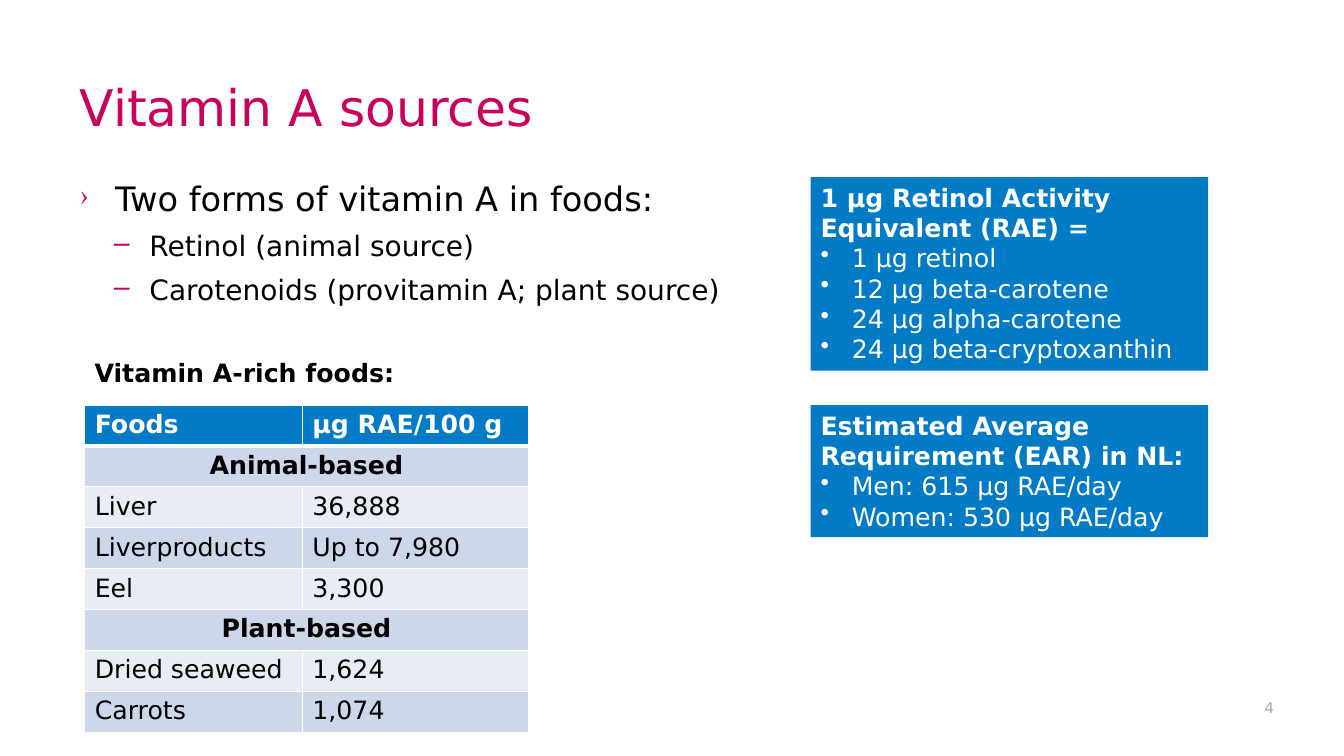
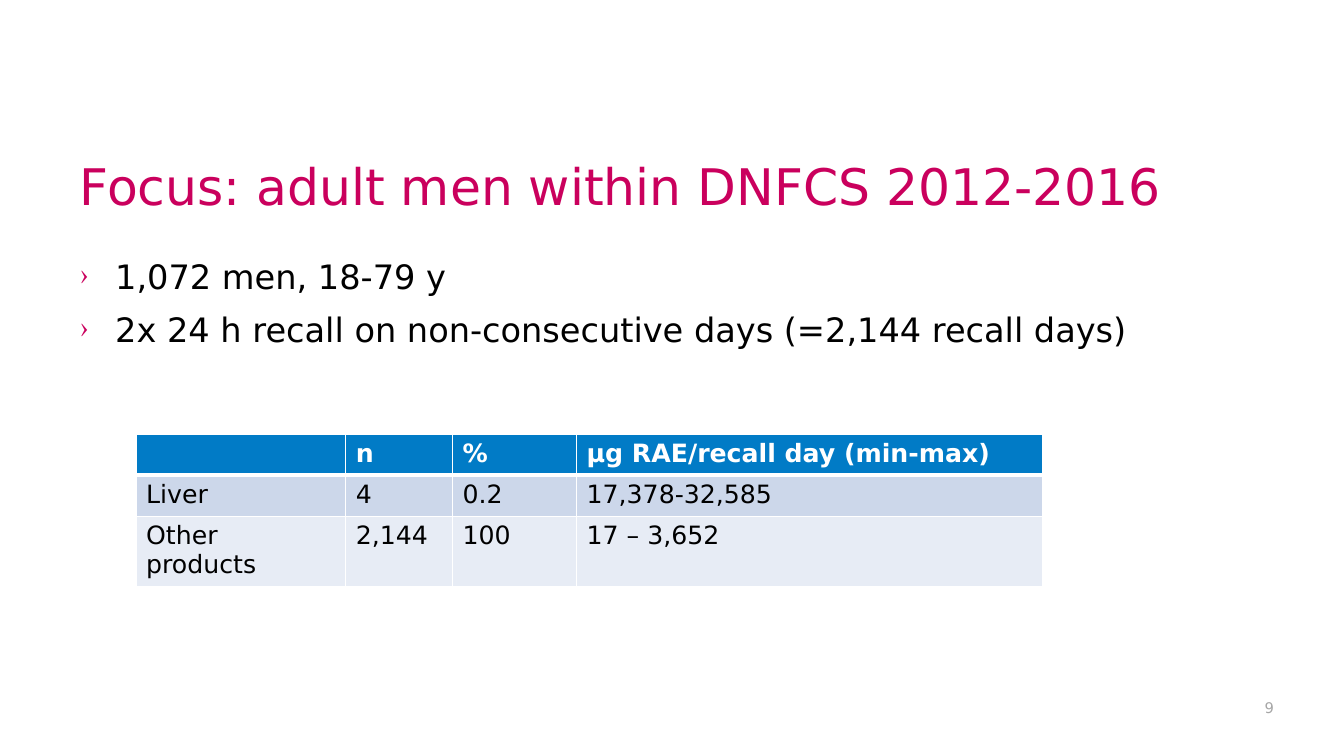
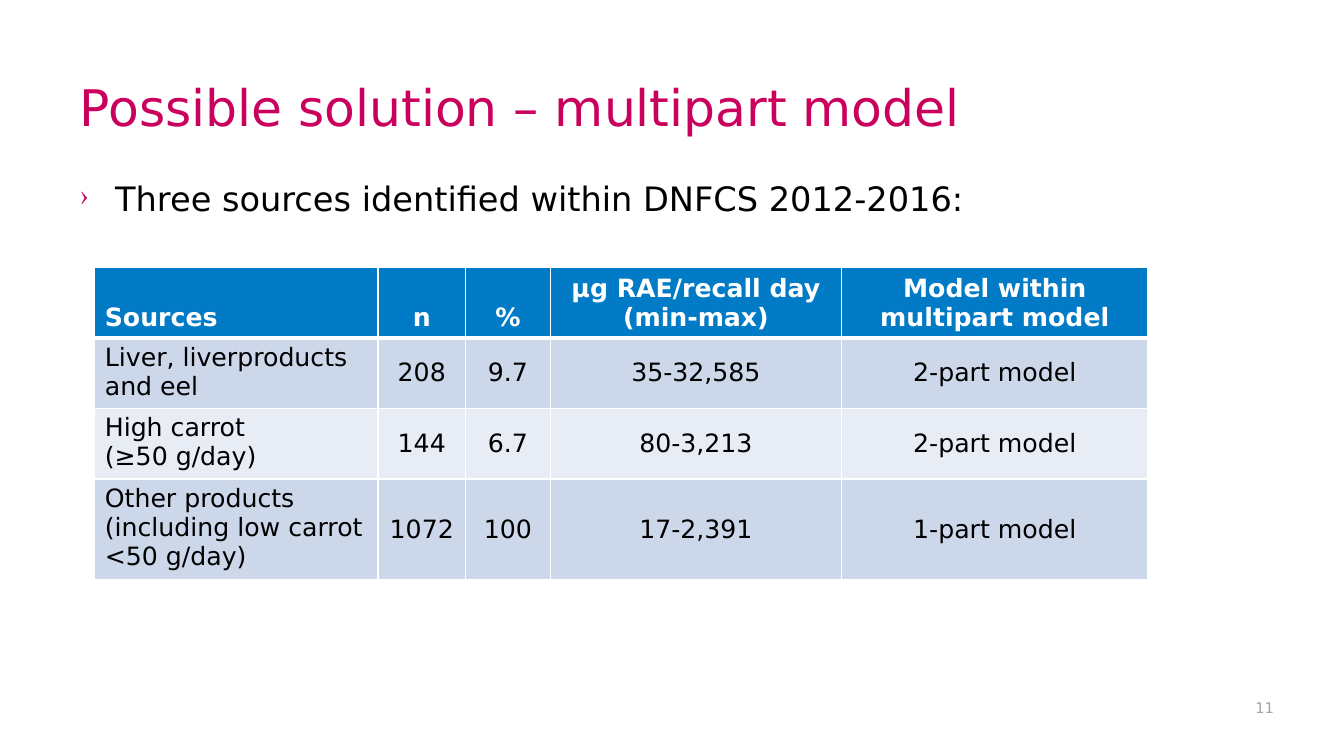
"""Build three slides on vitamin A sources, recall data and a multipart model."""
from lxml.etree import SubElement
from pptx import Presentation
from pptx.dml.color import RGBColor
from pptx.enum.shapes import MSO_SHAPE as Shape
from pptx.enum.text import MSO_ANCHOR as Anchor, MSO_AUTO_SIZE as AutoSize, PP_ALIGN as Align
from pptx.oxml.ns import qn
from pptx.util import Inches, Pt

COLORS = {
    "accent": "CA005D", "blue": "017BC6", "band": "CCD7EA", "light": "E7ECF5",
    "black": "000000", "white": "FFFFFF", "grey": "A6A6A6",
}
FONT = "DejaVu Sans"
COLUMNS, ROWS = 96, 54
MARGIN, CONTENT = 5, 86
BODY_DROP = 10
SIDE, SIDE_WIDTH = 57.9, 28.4
TABLE_LEFT, TABLE_TOP = 6.05, 28.94
LINE = 2.92

STYLES = {
    "title": {"size": 36, "color": "accent", "format": {"line_spacing": 0.9}},
    "bullet": {"size": 24, "color": "black", "format": {"line_spacing": 0.9, "space_before": Pt(12)},
               "mark": "›", "mark_color": "accent", "mark_size": 80, "indent": (0.35, 0.35)},
    "dash": {"size": 20, "color": "black", "format": {"line_spacing": 0.9, "space_before": Pt(10)},
             "mark": "–", "mark_color": "accent", "indent": (0.69, 0.35)},
    "number": {"size": 10.5, "color": "grey"},
    "heading": {"size": 18, "color": "white", "bold": True},
    "dot": {"size": 18, "color": "white", "mark": "•", "indent": (0.31, 0.31)},
    "strong": {"size": 18, "color": "black", "bold": True},
    "plain": {"size": 18, "color": "black"},
}

SLIDES = [
    {
        "number": "4", "title": "Vitamin A sources", "top": 2.66, "body_size": (49.25, 36.3),
        "body": [("bullet", "Two forms of vitamin A in foods:"),
                 ("dash", "Retinol (animal source)"),
                 ("dash", "Carotenoids (provitamin A; plant source)")],
        "caption": "Vitamin A-rich foods:",
        "callouts": [
            (12.66, 13.82, [("heading", "1 µg Retinol Activity Equivalent (RAE) ="),
                            ("dot", "1 µg retinol"),
                            ("dot", "12 µg beta-carotene"),
                            ("dot", "24 µg alpha-carotene"),
                            ("dot", "24 µg beta-cryptoxanthin")]),
            (TABLE_TOP, 9.43, [("heading", "Estimated Average Requirement (EAR) in NL:"),
                               ("dot", "Men: 615 µg RAE/day"),
                               ("dot", "Women: 530 µg RAE/day")]),
        ],
        "table_at": (TABLE_LEFT, TABLE_TOP), "widths": [15.55, 16.13], "heights": [LINE] * 8,
        "centred": False,
        "cells": [["Foods", "µg RAE/100 g"],
                  ["Animal-based"],
                  ["Liver", "36,888"],
                  ["Liverproducts", "Up to 7,980"],
                  ["Eel", "3,300"],
                  ["Plant-based"],
                  ["Dried seaweed", "1,624"],
                  ["Carrots", "1,074"]],
    },
    {
        "number": "9", "title": "Focus: adult men within DNFCS 2012-2016", "top": 8.28,
        "body_size": (CONTENT, 31),
        "body": [("bullet", "1,072 men, 18-79 y"),
                 ("bullet", "2x 24 h recall on non-consecutive days (=2,144 recall days)")],
        "table_at": (9.72, 31.03), "widths": [14.98, 7.63, 8.86, 33.26], "heights": [LINE] * 3,
        "centred": False,
        "cells": [["", "n", "%", "µg RAE/recall day (min-max)"],
                  ["Liver", "4", "0.2", "17,378-32,585"],
                  ["Other products", "2,144", "100", "17 – 3,652"]],
    },
    {
        "number": "11", "title": "Possible solution – multipart model", "top": 2.66,
        "body_size": (CONTENT, 3.46),
        "body": [("bullet", "Three sources identified within DNFCS 2012-2016:")],
        "table_at": (6.77, 19.08), "widths": [20.23, 6.26, 6.05, 20.81, 21.89],
        "heights": [4.9, 4.9, 4.9, 7], "centred": True,
        "cells": [["Sources", "n", "%", "µg RAE/recall day (min-max)", "Model within multipart model"],
                  ["Liver, liverproducts and eel", "208", "9.7", "35-32,585", "2-part model"],
                  ["High carrot\n(≥50 g/day)", "144", "6.7", "80-3,213", "2-part model"],
                  ["Other products (including low carrot <50 g/day)", "1072", "100", "17-2,391",
                   "1-part model"]],
    },
]

presentation = Presentation()
presentation.slide_width, presentation.slide_height = Pt(960), Pt(540)
column = presentation.slide_width / COLUMNS
row = presentation.slide_height / ROWS


def write(frame, lines, alignment=Align.LEFT):
    for index, (name, text) in enumerate(lines):
        style = STYLES[name]
        paragraph = frame.paragraphs[0] if index == 0 else frame.add_paragraph()
        if "mark" in style:
            properties = paragraph._p.get_or_add_pPr()
            left, hanging = style["indent"]
            properties.set("marL", str(Inches(left)))
            properties.set("indent", str(-Inches(hanging)))
            if "mark_color" in style:
                color = SubElement(properties, qn("a:buClr"))
                SubElement(color, qn("a:srgbClr"), val=COLORS[style["mark_color"]])
            if "mark_size" in style:
                SubElement(properties, qn("a:buSzPct"), val=str(style["mark_size"] * 1000))
            SubElement(properties, qn("a:buChar"), char=style["mark"])
        paragraph.alignment = alignment
        for attribute, value in style.get("format", {}).items():
            if index or attribute != "space_before":
                setattr(paragraph, attribute, value)
        if text:
            run = paragraph.add_run()
            run.text = text
            font = {"name": FONT, "size": Pt(style["size"]), "bold": style.get("bold", False)}
            for attribute, value in font.items():
                setattr(run.font, attribute, value)
            run.font.color.rgb = RGBColor.from_string(COLORS[style["color"]])


def place(slide, box, lines, fill=None, alignment=Align.LEFT, **frame_format):
    left, top, width, height = box
    area = [round(left * column), round(top * row), round(width * column), round(height * row)]
    if fill:
        shape = slide.shapes.add_shape(Shape.RECTANGLE, *area)
        shape.shadow.inherit = False
        shape.fill.solid()
        shape.fill.fore_color.rgb = RGBColor.from_string(COLORS[fill])
        shape.line.fill.background()
    else:
        shape = slide.shapes.add_textbox(*area)
    settings = {"word_wrap": True, "vertical_anchor": Anchor.TOP, **frame_format}
    for attribute, value in settings.items():
        setattr(shape.text_frame, attribute, value)
    write(shape.text_frame, lines, alignment)


for content in SLIDES:
    slide = presentation.slides.add_slide(presentation.slide_layouts[6])
    place(slide, (MARGIN, content["top"], CONTENT, 7.5), [("title", content["title"])],
          vertical_anchor=Anchor.BOTTOM)
    place(slide, (MARGIN, content["top"] + BODY_DROP, *content["body_size"]), content["body"])
    place(slide, (51.6, 49, 39.4, 2.5), [("number", content["number"])],
          alignment=Align.RIGHT, vertical_anchor=Anchor.BOTTOM, margin_right=0)
    for top, height, lines in content.get("callouts", []):
        place(slide, (SIDE, top, SIDE_WIDTH, height), lines, fill="blue",
              auto_size=AutoSize.SHAPE_TO_FIT_TEXT)
    if "caption" in content:
        place(slide, (TABLE_LEFT, 25.2, 26.35, 2.88), [("strong", content["caption"])],
              auto_size=AutoSize.SHAPE_TO_FIT_TEXT)

    left, top = content["table_at"]
    widths, heights, cells = content["widths"], content["heights"], content["cells"]
    table = slide.shapes.add_table(
        len(heights), len(widths), round(left * column), round(top * row),
        round(sum(widths) * column), round(sum(heights) * row)).table
    for table_column, width in zip(table.columns, widths):
        table_column.width = round(width * column)
    for row_index, (height, texts) in enumerate(zip(heights, cells)):
        table.rows[row_index].height = round(height * row)
        header, section = row_index == 0, len(texts) == 1
        fill = "blue" if header else "band" if row_index % 2 else "light"
        name = "heading" if header else "strong" if section else "plain"
        if section:
            table.cell(row_index, 0).merge(table.cell(row_index, len(widths) - 1))
        for column_index in range(len(widths)):
            cell = table.cell(row_index, column_index)
            properties = cell._tc.get_or_add_tcPr()
            thick_side = {0: "B", 1: "T"}.get(row_index)
            for side in "LRTB":
                border = SubElement(properties, qn(f"a:ln{side}"), w=str(Pt(3 if side == thick_side else 1)))
                SubElement(SubElement(border, qn("a:solidFill")), qn("a:srgbClr"), val=COLORS["white"])
            cell.fill.solid()
            cell.fill.fore_color.rgb = RGBColor.from_string(COLORS[fill])
            if column_index < len(texts):
                centred = content["centred"] and column_index > 0
                if content["centred"] and header:
                    cell.vertical_anchor = Anchor.BOTTOM
                elif centred:
                    cell.vertical_anchor = Anchor.MIDDLE
                write(cell.text_frame, [(name, text) for text in texts[column_index].split("\n")],
                      Align.CENTER if centred or section else Align.LEFT)

presentation.save("out.pptx")
